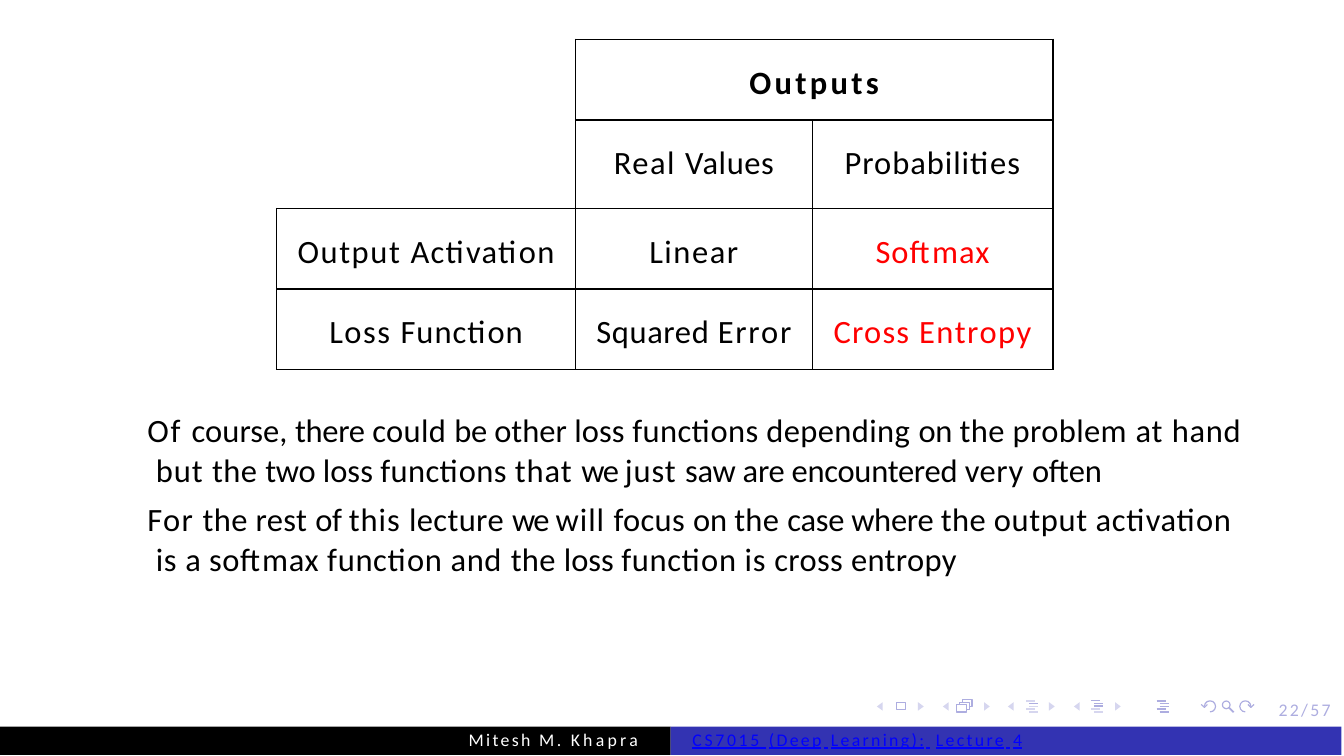
from math import cos, radians, sin

from lxml import etree
from pptx import Presentation
from pptx.dml.color import RGBColor
from pptx.enum.shapes import MSO_SHAPE
from pptx.enum.text import PP_ALIGN
from pptx.oxml.ns import qn
from pptx.util import Cm, Pt

RECTANGLE = MSO_SHAPE.RECTANGLE
LEFT, CENTER = PP_ALIGN.LEFT, PP_ALIGN.CENTER
FONT = "Calibri"
COLORS = {"black": "000000", "white": "FFFFFF", "red": "FF0000", "link": "0000FF",
          "bar": "3333B2", "icon": "ADADE0", "pale": "D6D6EF"}

CELLS = {
    (0, 1): [("Outputs", 1.1)],
    (1, 1): [("Real ", 0.5), ("Values", 0.2)],
    (1, 2): [("Probabilities", 0.3)],
    (2, 0): [("Output ", 0.5), ("Activation", 0.4)],
    (2, 1): [("Linear", 0.5)],
    (2, 2): [("Softmax", 0.3)],
    (3, 0): [("Loss ", 0.5), ("Function", 0.3)],
    (3, 1): [("Squared ", 0.2), ("Error", 0.6)],
    (3, 2): [("Cross ", 0.4), ("Entropy", 0.5)],
}
REMARKS = [
    [("Of ", 0.6), ("course, ", 0), ("there ", -0.1), ("could ", 0.1), ("be ", -0.1),
     ("other loss ", 0), ("functions depending ", 0.1), ("on ", -0.1), ("the problem", 0.1),
     (" at ", 0.3), ("hand ", 0.2), ("but ", 0.3), ("the ", 0.1), ("two ", -0.1),
     ("loss ", 0), ("functions ", 0.1), ("that ", 0.3), ("we ", -0.5), ("just ", 0.3),
     ("saw are encountered ", -0.1), ("very ", 0.2), ("often", -0.1)],
    [("For ", 0.4), ("the rest ", 0.1), ("of ", -0.2), ("this ", 0.3), ("lecture ", 0.1),
     ("we ", -0.5), ("will ", 0.3), ("focus ", 0.1), ("on ", -0.1), ("the ", 0.1),
     ("case where ", -0.1), ("the ", 0.1), ("output activation is ", 0.2), ("a ", 0.1),
     ("softmax function and ", 0.2), ("the ", 0.1), ("loss ", 0), ("function is ", 0.2),
     ("cross entropy", 0.1)],
]
AUTHOR = [("Mitesh ", 0.8), ("M. ", 0.9), ("Khapra", 1.1)]
COURSE = [("CS7015 ", 0.9), ("(Deep", 0.8), (" ", 1), ("Learning):", 0.8), (" ", 1.8),
          ("Lecture", 0.8), (" ", 1), ("4", 0.6)]


def rgb(name):
    """Look up a named colour."""
    return RGBColor.from_string(COLORS[name])


def write(para, spans, size, color, bold=False, underline=False):
    """Add letter-spaced spans to a paragraph."""
    for text, spacing in spans:
        span = para.add_run()
        span.text = text
        font = span.font
        font.name, font.size, font.bold, font.underline = FONT, Pt(size), bold, underline
        font.color.rgb = rgb(color)
        span._r.get_or_add_rPr().set("spc", str(round(spacing * 100)))


def add_text_frame(page, box):
    """Add a wrapping text box without margins."""
    frame = page.shapes.add_textbox(*map(Cm, box)).text_frame
    frame.word_wrap = True
    frame.margin_left = frame.margin_top = frame.margin_right = frame.margin_bottom = 0
    return frame


def add_label(page, box, spans, color, underline=False):
    """Add a small one-line label."""
    para = add_text_frame(page, box).paragraphs[0]
    para.alignment, para.line_spacing = LEFT, Pt(6.7)
    write(para, spans, 6, color, underline=underline)


def set_borders(cell, visible_sides):
    """Draw thin black borders on the given sides of a cell."""
    properties = cell._tc.get_or_add_tcPr()
    for index, side in enumerate("LRTB"):
        line = etree.Element(qn(f"a:ln{side}"), w=str(Pt(0.5)))
        if side in visible_sides:
            fill = etree.SubElement(line, qn("a:solidFill"))
            etree.SubElement(fill, qn("a:srgbClr"), val=COLORS["black"])
        else:
            etree.SubElement(line, qn("a:noFill"))
        properties.insert(index, line)


def add_outputs_table(page, box):
    """Add the table of activations and losses by output type."""
    left, top, width, height = box
    table = page.shapes.add_table(4, 3, *map(Cm, box)).table
    table.first_row = table.horz_banding = False
    for column, share in zip(table.columns, (0.385, 0.305, 0.31)):
        column.width = Cm(width * share)
    for row in table.rows:
        row.height = Cm(height / 4)
    table.cell(0, 0).merge(table.cell(1, 0))
    table.cell(0, 1).merge(table.cell(0, 2))
    for row in range(4):
        for column in range(3):
            cell = table.cell(row, column)
            cell.margin_left = cell.margin_right = cell.margin_bottom = 0
            cell.margin_top = Cm(0.28)
            cell.fill.background()
            set_borders(cell, "RB" if row < 2 and column == 0 else "LRTB")
            para = cell.text_frame.paragraphs[0]
            para.alignment, para.space_before = CENTER, Pt(8)
            color = "red" if row > 1 and column == 2 else "black"
            write(para, CELLS.get((row, column), []), 11, color, bold=row == 0)


def add_remarks(page, box):
    """Add the two remarks with a slight hanging indent."""
    frame = add_text_frame(page, box)
    frame.margin_top = Cm(0.03)
    for index, spans in enumerate(REMARKS):
        para = frame.add_paragraph() if index else frame.paragraphs[0]
        para.alignment, para.line_spacing = LEFT, 1.03
        para.space_before = Pt(3 if index else 0.6)
        properties = para._p.get_or_add_pPr()
        properties.set("marL", str(Cm(0.13)))
        properties.set("indent", str(Cm(-0.1)))
        write(para, spans, 11, "black")


def draw(page, box, strokes, color, weight=0, closed=False):
    """Draw strokes given in hundredths of an inch from the box corner."""
    strokes = [[(x * 25.4, y * 25.4) for x, y in stroke] for stroke in strokes]
    builder = page.shapes.build_freeform(*strokes[0][0], scale=float(Cm(0.001)))
    for index, stroke in enumerate(strokes):
        if index:
            builder.move_to(*stroke[0])
        builder.add_line_segments(stroke[1:], close=closed)
    shape = builder.convert_to_shape(Cm(box[0]), Cm(box[1]))
    shape.shadow.inherit = False
    if weight:
        shape.fill.background()
        shape.line.color.rgb = rgb(color)
        shape.line.width = Pt(weight)
    else:
        shape.fill.solid()
        shape.fill.fore_color.rgb = rgb(color)
        shape.line.fill.background()


def arc(x, y, radius, start, end):
    """Return points along an arc in steps of 30 degrees."""
    step = 30 if end > start else -30
    return [(x + radius * cos(radians(angle)), y + radius * sin(radians(angle)))
            for angle in range(start, end + step, step)]


def add_navigation(page, box):
    """Add the row of navigation symbols."""
    triangles = []
    for x in (0, 31, 61.5, 92.5):
        triangles.append([(x + 2.7, 0.7), (x, 2.7), (x + 2.7, 4.7)])
        triangles.append([(x + 19.3, 0.7), (x + 19.3, 4.7), (x + 22, 2.7)])
    draw(page, box, triangles, "pale", closed=True)
    draw(page, box, [[(9, 4.3), (13.5, 4.3), (13.5, 1), (9, 1)]], "icon", 0.4, True)
    sheets = [[(37.5, 5.3), (42, 5.3), (42, 2), (37.5, 2), (37.5, 5.3)]]
    for shift in (1.3, 2.6):
        x, y = 37.5 + shift, 2 - shift
        sheets.append([(x, y + 1.3), (x, y), (x + 4.5, y), (x + 4.5, y + 3.3),
                       (x + 3.2, y + 3.3)])
    draw(page, box, sheets, "icon", 0.4)
    for x, dark_rows in ((70, {1}), (100.5, {0, 1, 2}), (131.3, {0, 1, 2, 3, 4})):
        for color in ("pale", "icon"):
            rows = [row for row in range(5) if (row in dark_rows) == (color == "icon")]
            bars = [(x + (0 if row in (0, 3) else 1.4), row * 1.33) for row in rows]
            if bars:
                draw(page, box, [[(a, y), (a + 4.3, y)] for a, y in bars], color, 0.6)
    draw(page, box, [[(165.3, 3.3), (167.5, 5.5)]], "icon", 0.6)
    draw(page, box, [arc(164, 2, 1.8, 0, 330)], "icon", 0.4, True)
    turns = [arc(156.4, 2.7, 2.6, 90, -180), [(155.2, 1.8), (153.8, 3.2), (152.3, 1.8)],
             arc(173, 2.7, 2.6, 90, 360), [(177.1, 1.8), (175.6, 3.2), (174.2, 1.8)]]
    draw(page, box, turns, "icon", 0.4)


def add_footer(page, box):
    """Add the two footer bars with author and course."""
    left, top, width, height = box
    half = width / 2
    for x, color in ((left, "black"), (left + half, "bar")):
        bar = page.shapes.add_shape(RECTANGLE, *map(Cm, (x, top, half, height)))
        bar.shadow.inherit = False
        bar.fill.solid()
        bar.fill.fore_color.rgb = rgb(color)
        bar.line.fill.background()
    add_label(page, (left + 5.59, top + 0.04, 2.3, 0.28), AUTHOR, "white")
    add_label(page, (left + half + 0.26, top + 0.04, 4.3, 0.28), COURSE, "link", True)


def main():
    """Build the slide and save the deck."""
    deck = Presentation()
    deck.slide_width, deck.slide_height = Cm(16.03), Cm(9.02)
    page = deck.slides.add_slide(deck.slide_layouts[6])
    add_navigation(page, (10.46, 8.36, 4.5, 0.15))
    add_outputs_table(page, (3.3, 0.47, 9.26, 3.85))
    add_remarks(page, (1.73, 4.85, 13.31, 2.08))
    add_footer(page, (0, 8.67, 16, 0.34))
    add_label(page, (15.25, 8.36, 0.75, 0.28), [("22/57", 0.8)], "icon")
    deck.save("out.pptx")


if __name__ == "__main__":
    main()
